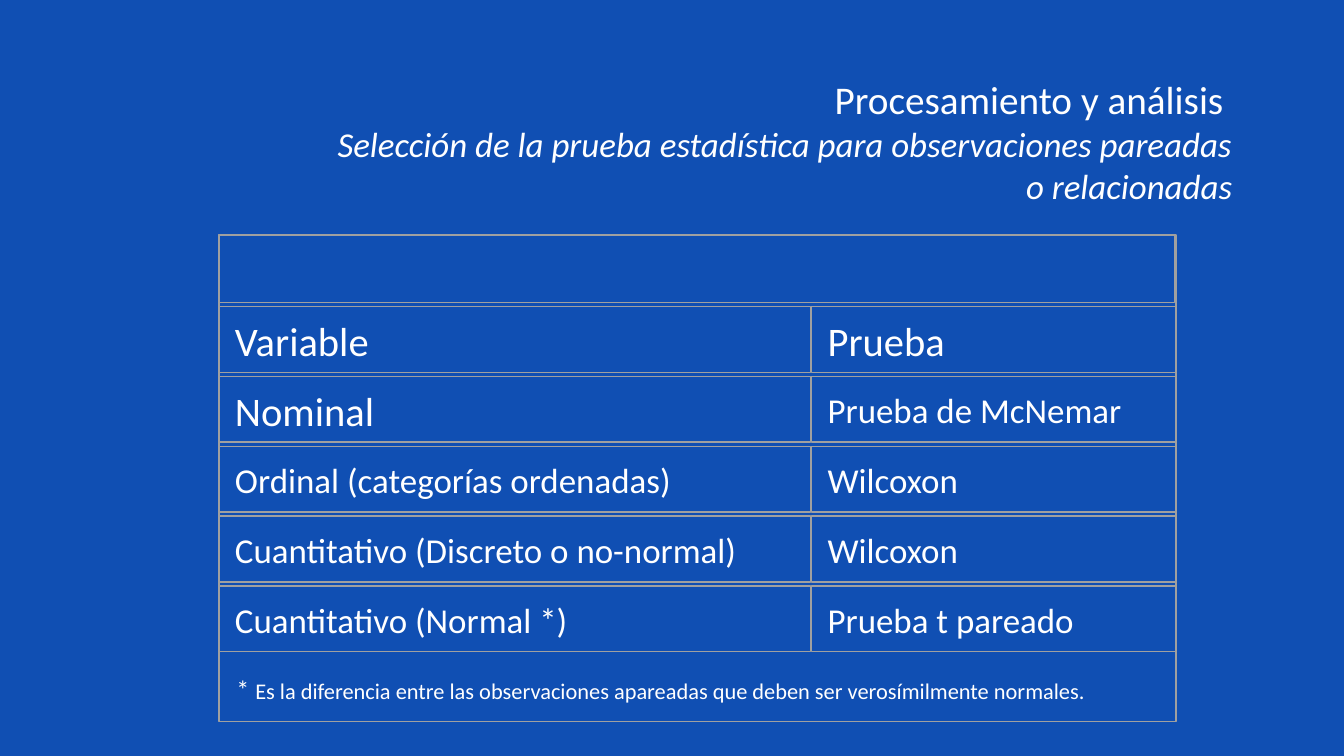
from dataclasses import dataclass

from pptx import Presentation
from pptx.dml.color import RGBColor
from pptx.enum.shapes import MSO_SHAPE as Shape
from pptx.enum.text import MSO_ANCHOR as Anchor, MSO_AUTO_SIZE as AutoSize, PP_ALIGN as Align
from pptx.util import Inches, Pt


@dataclass(frozen=True)
class Theme:
    """Colours, font and type sizes of the slide."""
    background: RGBColor = RGBColor(0x10, 0x4F, 0xB3)
    text: RGBColor = RGBColor(0xFF, 0xFF, 0xFF)
    rule: RGBColor = RGBColor(0xA0, 0xA0, 0xA0)
    font: str = "Calibri"
    title: float = 21
    heading: float = 21.75
    body: float = 18.75
    marker: float = 14
    note: float = 12
    hairline: float = 0
    border: float = 0.87


THEME = Theme()
TITLE = "Procesamiento y análisis "
SUBTITLE = "Selección de la prueba estadística para observaciones pareadas o relacionadas"
ROWS = [
    (("Variable", THEME.heading), ("Prueba", THEME.heading)),
    (("Nominal", THEME.heading), ("Prueba de McNemar", THEME.body)),
    (("Ordinal (categorías ordenadas)", THEME.body), ("Wilcoxon", THEME.body)),
    (("Cuantitativo (Discreto o no-normal)", THEME.body), ("Wilcoxon", THEME.body)),
    (("Cuantitativo (Normal *)", THEME.body), ("Prueba t pareado", THEME.body)),
]
NOTE = [
    ("* ", THEME.marker),
    ("Es la diferencia entre las observaciones apareadas que deben ser verosímilmente normales.",
     THEME.note),
]
COLUMNS = [(0, 4.4), (4.41, 2.71)]
FIRST_ROW, ROW_PITCH, ROW_HEIGHT = 0.53, 0.52, 0.49


def apply_format(target, values):
    """Set each attribute of the target from a dict."""
    for name, value in values.items():
        setattr(target, name, value)


def add_run(paragraph, text, size, italic=False):
    """Append a run in the theme's font and colour."""
    run = paragraph.add_run()
    run.text = text
    apply_format(run.font, {"name": THEME.font, "size": Pt(size), "italic": italic})
    run.font.color.rgb = THEME.text


def add_frame(shapes, box, width):
    """Draw an unfilled rectangle with a grey outline."""
    frame = shapes.add_shape(Shape.RECTANGLE, *map(Inches, box))
    frame.shadow.inherit = False
    frame.fill.background()
    frame.line.color.rgb = THEME.rule
    frame.line.width = Pt(width)


def add_text(shapes, box, runs, alignment=Align.LEFT):
    """Place one vertically centred paragraph in a text box."""
    text_frame = shapes.add_textbox(*map(Inches, box)).text_frame
    apply_format(text_frame, {"word_wrap": True, "vertical_anchor": Anchor.MIDDLE})
    paragraph = text_frame.paragraphs[0]
    paragraph.alignment = alignment
    for text, size in runs:
        add_run(paragraph, text, size)


def add_title(slide, box):
    """Fill the title placeholder with the title and its italic subtitle."""
    title = slide.shapes.title
    apply_format(title, dict(zip(("left", "top", "width", "height"), map(Inches, box))))
    text_frame = title.text_frame
    apply_format(text_frame, {"word_wrap": True, "vertical_anchor": Anchor.TOP,
                              "auto_size": AutoSize.SHAPE_TO_FIT_TEXT})
    lines = [(TITLE, THEME.title, False), (SUBTITLE, THEME.body, True)]
    for index, line in enumerate(lines):
        paragraph = text_frame.add_paragraph() if index else text_frame.paragraphs[0]
        paragraph.alignment = Align.RIGHT
        add_run(paragraph, *line)


def add_cell(slide, box, run):
    """Group a cell's text with its frame."""
    left, top, width, height = box
    shapes = slide.shapes.add_group_shape().shapes
    add_text(shapes, (left + 0.02, top + 0.02, width - 0.05, height - 0.03), [run])
    add_frame(shapes, box, THEME.hairline)


def add_test_grid(slide, box):
    """Lay out the empty header, the cells, the note and the outer border."""
    left, top, width, height = box
    add_frame(slide.shapes, (left, top, width - 0.01, 0.5), THEME.hairline)
    for index, row in enumerate(ROWS):
        row_top = top + FIRST_ROW + index * ROW_PITCH
        for (offset, column_width), run in zip(COLUMNS, row):
            add_cell(slide, (left + offset, row_top, column_width, ROW_HEIGHT), run)
    note_top = top + FIRST_ROW + len(ROWS) * ROW_PITCH + 0.02
    add_text(slide.shapes, (left + 0.03, note_top, width - 0.06, 0.46), NOTE, Align.JUSTIFY)
    add_frame(slide.shapes, box, THEME.border)


def main():
    """Build and save the presentation."""
    presentation = Presentation()
    apply_format(presentation, {"slide_width": Inches(10), "slide_height": Inches(10) * 9 // 16})
    slide = presentation.slides.add_slide(presentation.slide_layouts[5])
    slide.background.fill.solid()
    slide.background.fill.fore_color.rgb = THEME.background
    add_title(slide, (2.33, 0.51, 6.94, 1.09))
    add_test_grid(slide, (1.63, 1.75, 7.12, 3.62))
    presentation.save("out.pptx")


if __name__ == "__main__":
    main()
